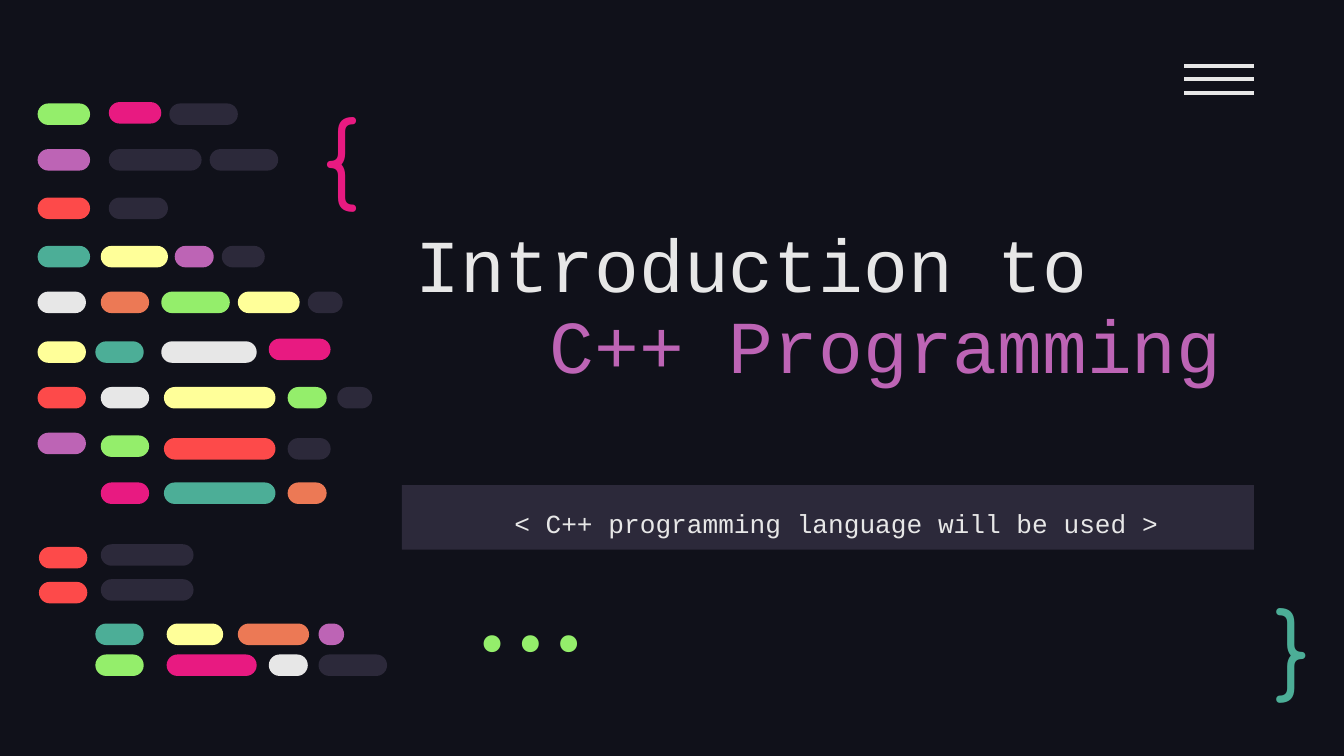
from pptx import Presentation
from pptx.dml.color import RGBColor
from pptx.enum.shapes import MSO_CONNECTOR, MSO_SHAPE
from pptx.enum.text import MSO_ANCHOR, MSO_AUTO_SIZE, PP_ALIGN
from pptx.util import Inches, Pt
from lxml import etree

PILL, STRAIGHT = MSO_SHAPE.ROUNDED_RECTANGLE, MSO_CONNECTOR.STRAIGHT
TOP, MIDDLE, BOTTOM = MSO_ANCHOR.TOP, MSO_ANCHOR.MIDDLE, MSO_ANCHOR.BOTTOM
LEFT, CENTER, RIGHT = PP_ALIGN.LEFT, PP_ALIGN.CENTER, PP_ALIGN.RIGHT
DRAWING_NS = "http://schemas.openxmlformats.org/drawingml/2006/main"

NIGHT, SLATE, WHITE = "10111A", "2C293A", "E7E7E7"
GREEN, PINK, PURPLE, RED = "94EE6B", "E81A81", "BD64B5", "FD4A4A"
TEAL, YELLOW, ORANGE = "4CAE97", "FFFF99", "EC7955"

# Content
TITLE_LINES = [("Introduction to", WHITE, 0), ("C++ Programming", PURPLE, 1)]
SUBTITLE = "< C++ programming language will be used >"
# text, box, font, colour, anchor, alignment
SYMBOLS = [
    ("{", (2.3, 0.62, 0.77, 0.95), "Comfortaa", PINK, TOP, LEFT),
    ("}", (9.39, 4.38, 0.57, 0.83), "Comfortaa", TEAL, MIDDLE, LEFT),
    ("...", (3.11, 4.49, 1.58, 0.6), "Fira Code", GREEN, BOTTOM, RIGHT),
]
# Lines of code: top, then left, width and colour of each token
PILL_HEIGHT = 0.16
CODE_LINES = [
    (0.77, [(0.28, 0.39, GREEN), (1.26, 0.51, SLATE)]),
    (0.76, [(0.81, 0.39, PINK)]),
    (1.11, [(0.28, 0.39, PURPLE), (0.81, 0.69, SLATE), (1.56, 0.51, SLATE)]),
    (1.47, [(0.28, 0.39, RED), (0.81, 0.44, SLATE)]),
    (1.83, [(0.28, 0.39, TEAL), (0.75, 0.5, YELLOW), (1.3, 0.29, PURPLE),
            (1.65, 0.32, SLATE)]),
    (2.17, [(0.28, 0.36, WHITE), (0.75, 0.36, ORANGE), (1.2, 0.51, GREEN),
            (1.77, 0.46, YELLOW), (2.29, 0.26, SLATE)]),
    (2.54, [(0.28, 0.36, YELLOW), (0.71, 0.36, TEAL), (1.2, 0.71, WHITE)]),
    (2.52, [(2, 0.46, PINK)]),
    (2.88, [(0.28, 0.36, RED), (0.75, 0.36, WHITE), (1.22, 0.83, YELLOW),
            (2.14, 0.29, GREEN), (2.51, 0.26, SLATE)]),
    (3.22, [(0.28, 0.36, PURPLE)]),
    (3.24, [(0.75, 0.36, GREEN)]),
    (3.26, [(1.22, 0.83, RED), (2.14, 0.32, SLATE)]),
    (3.59, [(0.75, 0.36, PINK), (1.22, 0.83, TEAL), (2.14, 0.29, ORANGE)]),
    (4.07, [(0.29, 0.36, RED)]),
    (4.05, [(0.75, 0.69, SLATE)]),
    (4.33, [(0.29, 0.36, RED)]),
    (4.31, [(0.75, 0.69, SLATE)]),
    (4.64, [(0.71, 0.36, TEAL), (1.24, 0.42, YELLOW), (1.77, 0.53, ORANGE),
            (2.37, 0.19, PURPLE)]),
    (4.87, [(0.71, 0.36, GREEN), (1.24, 0.67, PINK), (2, 0.29, WHITE),
            (2.37, 0.51, SLATE)]),
]


def paint(color_format, color):
    color_format.rgb = RGBColor.from_string(color)


def fill(item, color):
    item.fill.solid()
    paint(item.fill.fore_color, color)


def place(shape, left, top, width, height):
    shape.left, shape.top = Inches(left), Inches(top)
    shape.width, shape.height = Inches(width), Inches(height)


def set_frame(frame, anchor, left=0.1, top=0.1, bottom=0.1):
    frame.word_wrap = True
    frame.auto_size = MSO_AUTO_SIZE.NONE
    frame.vertical_anchor = anchor
    frame.margin_left, frame.margin_right = Inches(left), Inches(0.1)
    frame.margin_top, frame.margin_bottom = Inches(top), Inches(bottom)


def style(paragraph, font, size, color, align, spacing=1.0):
    paragraph.alignment = align
    paragraph.line_spacing = spacing
    paragraph.space_before = Pt(0)
    for run in paragraph.runs:
        run.font.name, run.font.size = font, Pt(size)
        paint(run.font.color, color)


# 16:9 slide
prs = Presentation()
prs.slide_width = Inches(10)
prs.slide_height = prs.slide_width * 9 // 16
slide = prs.slides.add_slide(prs.slide_layouts[0])
fill(slide.background, NIGHT)
shapes = slide.shapes

# Title, raised above the bottom of its box by one line
title = shapes.title
place(title, 2.99, 1.38, 6.34, 2.23)
set_frame(title.text_frame, BOTTOM, bottom=0.71)
title.text_frame.text = "\n".join(text for text, _, _ in TITLE_LINES)
for paragraph, (_, color, indent) in zip(title.text_frame.paragraphs, TITLE_LINES):
    style(paragraph, "Courier New", 40, color, LEFT, 0.9)
    paragraph._p.get_or_add_pPr().set("marL", str(Inches(indent)))

# Subtitle band
subtitle = slide.placeholders[1]
place(subtitle, 2.99, 3.61, 6.34, 0.48)
fill(subtitle, SLATE)
set_frame(subtitle.text_frame, TOP, left=0.23, top=0.13)
subtitle.text_frame.text = SUBTITLE
style(subtitle.text_frame.paragraphs[0], "Courier New", 14, WHITE, CENTER, 1.15)

# Braces and dots
for text, box, font, color, anchor, align in SYMBOLS:
    symbol = shapes.add_textbox(*map(Inches, box))
    set_frame(symbol.text_frame, anchor)
    symbol.text_frame.text = text
    style(symbol.text_frame.paragraphs[0], font, 50, color, align)

# Menu icon
menu = shapes.add_group_shape()
for row in range(3):
    y = Inches(0.49 + 0.1 * row)
    bar = menu.shapes.add_connector(STRAIGHT, Inches(8.81), y, Inches(9.33), y)
    bar.line.width = Pt(2.25)
    paint(bar.line.color, WHITE)
    etree.SubElement(bar._element.spPr, f"{{{DRAWING_NS}}}effectLst")

# Code tokens
code = shapes.add_group_shape()
for top, tokens in CODE_LINES:
    for left, width, color in tokens:
        token = code.shapes.add_shape(
            PILL, Inches(left), Inches(top), Inches(width), Inches(PILL_HEIGHT))
        token.adjustments[0] = 0.5
        token.shadow.inherit = False
        fill(token, color)
        token.line.fill.background()

prs.save("out.pptx")
